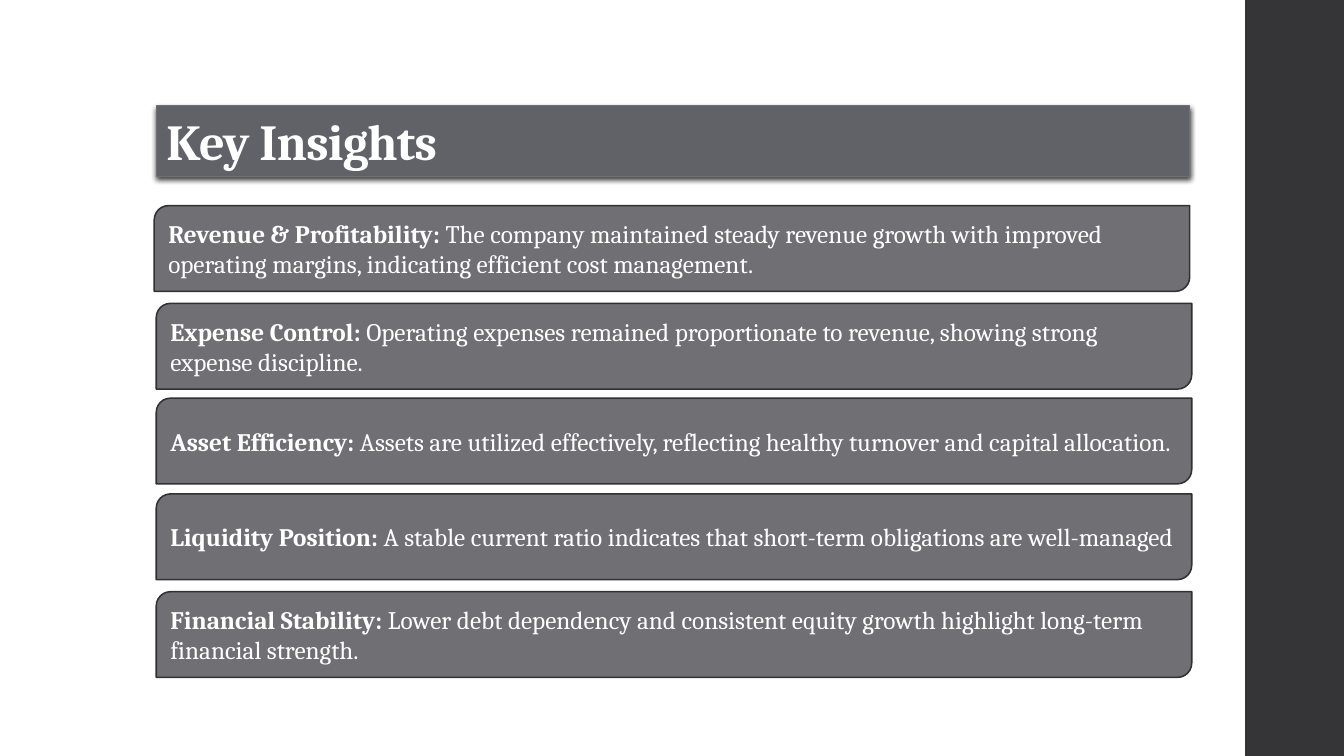
from dataclasses import dataclass

from lxml.etree import SubElement
from pptx import Presentation
from pptx.dml.color import RGBColor as Rgb
from pptx.enum.shapes import MSO_SHAPE as Kind
from pptx.enum.text import MSO_ANCHOR as Anchor, MSO_AUTO_SIZE as Fit, PP_ALIGN as Align
from pptx.oxml.ns import qn
from pptx.shapes.autoshape import Shape
from pptx.slide import Slide
from pptx.text.text import Font
from pptx.util import Inches, Pt


@dataclass(frozen=True)
class Theme:
    font: str = "Cambria"
    white: Rgb = Rgb(0xFF, 0xFF, 0xFF)
    side: Rgb = Rgb(0x35, 0x35, 0x37)
    head: Rgb = Rgb(0x61, 0x61, 0x68)
    card: Rgb = Rgb(0x6F, 0x6F, 0x74)
    edge: Rgb = Rgb(0x31, 0x31, 0x33)
    shade: str = "000000"
    big: float = 36
    body: float = 18


@dataclass(frozen=True)
class Card:
    top: float
    label: str
    text: str
    left: float = 1.55
    width: float = 10.27
    height: float = 0.85


THEME = Theme()
CARDS = [
    Card(2.04, "Revenue & Profitability:",
         "The company maintained steady revenue growth with improved "
         "operating margins, indicating efficient cost management.", left=1.53),
    Card(3.01, "Expense Control:",
         "Operating expenses remained proportionate to revenue, "
         "showing strong expense discipline."),
    Card(3.95, "Asset Efficiency:",
         "Assets are utilized effectively, reflecting healthy turnover "
         "and capital allocation."),
    Card(4.9, "Liquidity Position:",
         "A stable current ratio indicates that short-term obligations "
         "are well-managed"),
    Card(5.87, "Financial Stability:",
         "Lower debt dependency and consistent equity growth highlight "
         "long-term financial strength."),
]


def paint(shape: Shape, fill: Rgb, line: Rgb, width: float) -> None:
    shape.fill.solid()
    shape.fill.fore_color.rgb = fill
    shape.line.color.rgb = line
    shape.line.width = Pt(width)


def style(font: Font, size: float) -> None:
    font.name = THEME.font
    font.size = Pt(size)
    font.color.rgb = THEME.white


def add_side(slide: Slide) -> None:
    side = slide.shapes.add_shape(Kind.RECTANGLE, Inches(12.35), 0, Inches(1), Inches(7.5))
    side.shadow.inherit = False
    side.fill.solid()
    side.fill.fore_color.rgb = THEME.side
    side.line.fill.background()


def add_shade(shape: Shape) -> None:
    group = SubElement(shape.element.spPr, qn("a:effectLst"))
    outer = SubElement(group, qn("a:outerShdw"), blurRad=str(Pt(4)), dist=str(Pt(1.2)),
                       dir="5400000", algn="ctr", rotWithShape="0")
    color = SubElement(outer, qn("a:srgbClr"), val=THEME.shade)
    SubElement(color, qn("a:alpha"), val="75000")


def set_title(slide: Slide, text: str) -> None:
    title = slide.shapes.title
    title.left, title.top = Inches(1.55), Inches(1.05)
    title.width, title.height = Inches(10.25), Inches(0.7)
    paint(title, THEME.head, THEME.card, 0.75)
    add_shade(title)
    frame = title.text_frame
    frame.text = text
    frame.auto_size = Fit.NONE
    frame.vertical_anchor = Anchor.BOTTOM
    para = frame.paragraphs[0]
    para.alignment = Align.LEFT
    para.line_spacing = 0.9
    style(para.font, THEME.big)
    para.font.bold = True
    para.runs[0].font._element.set("spc", "-50")


def add_card(slide: Slide, card: Card) -> None:
    shape = slide.shapes.add_shape(
        Kind.ROUND_2_DIAG_RECTANGLE, Inches(card.left), Inches(card.top),
        Inches(card.width), Inches(card.height))
    shape.shadow.inherit = False
    paint(shape, THEME.card, THEME.edge, 1.1)
    frame = shape.text_frame
    frame.word_wrap = True
    frame.vertical_anchor = Anchor.MIDDLE
    para = frame.paragraphs[0]
    para.alignment = Align.LEFT
    style(para.font, THEME.body)
    label = para.add_run()
    label.text = card.label
    label.font.bold = True
    para.add_run().text = f" {card.text}"


def main() -> None:
    deck = Presentation()
    deck.slide_width, deck.slide_height = Inches(13.33), Inches(7.5)
    slide = deck.slides.add_slide(deck.slide_layouts[5])
    add_side(slide)
    set_title(slide, "Key Insights")
    for card in CARDS:
        add_card(slide, card)
    deck.save("out.pptx")


if __name__ == "__main__":
    main()
